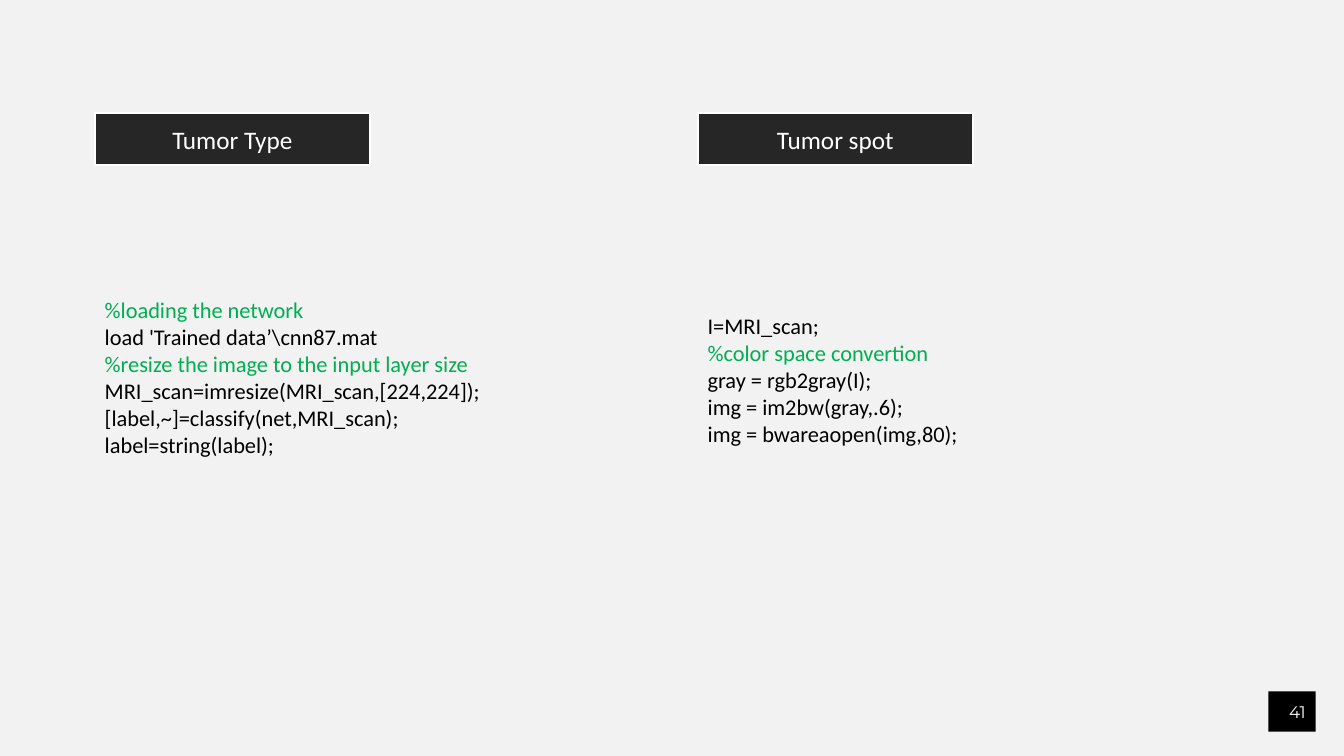
from pptx import Presentation
from pptx import util as u
from pptx.dml.color import RGBColor
from pptx.enum import shapes, text

WIDTH, HEIGHT = 13.33, 7.5
COLORS = {
    "background": "F2F2F2",
    "heading": "262626",
    "code": "000000",
    "comment": "00B050",
    "page": "000000",
    "light": "FFFFFF",
}
COLUMNS = (0.94, 6.92)
HEADING_TOP = 1.12
SECTIONS = (
    ("Tumor Type", 2.89, (
        "%loading the network",
        "load 'Trained data’\\cnn87.mat",
        "%resize the image to the input layer size",
        "MRI_scan=imresize(MRI_scan,[224,224]);",
        "[label,~]=classify(net,MRI_scan);",
        "label=string(label);",
    )),
    ("Tumor spot", 3.05, (
        "I=MRI_scan;",
        "%color space convertion",
        "gray = rgb2gray(I);",
        "img = im2bw(gray,.6);",
        "img = bwareaopen(img,80);",
    )),
)


def color(name):
    return RGBColor.from_string(COLORS[name])


def inches(*lengths):
    return [u.Inches(length) for length in lengths]


def write(paragraph, words, size=16, font="Calibri", ink="code",
          align=text.PP_ALIGN.LEFT):
    paragraph.alignment = align
    run = paragraph.add_run()
    run.text = words
    run.font.size = u.Pt(size)
    run.font.name = font
    run.font.color.rgb = color(ink)


def add_label(slide, box, words, fill, outline=None, **text_format):
    shape = slide.shapes.add_shape(shapes.MSO_SHAPE.RECTANGLE, *inches(*box))
    shape.shadow.inherit = False
    shape.fill.solid()
    shape.fill.fore_color.rgb = color(fill)
    if outline:
        shape.line.color.rgb = color(outline)
        shape.line.width = u.Pt(1.5)
    else:
        shape.line.fill.background()
    frame = shape.text_frame
    frame.vertical_anchor = text.MSO_ANCHOR.MIDDLE
    write(frame.paragraphs[0], words, ink="light", **text_format)


def add_code(slide, left, top, lines):
    """Add a code listing whose lines starting with % are comments."""
    line_height = 0.27
    box = inches(left, top, 5.08, 0.1 + line_height * len(lines))
    frame = slide.shapes.add_textbox(*box).text_frame
    frame.word_wrap = True
    for index, line in enumerate(lines):
        paragraph = frame.add_paragraph() if index else frame.paragraphs[0]
        write(paragraph, line, ink="comment" if line.startswith("%") else "code")


def main():
    presentation = Presentation()
    presentation.slide_width, presentation.slide_height = inches(WIDTH, HEIGHT)
    slide = presentation.slides.add_slide(presentation.slide_layouts[6])
    slide.background.fill.solid()
    slide.background.fill.fore_color.rgb = color("background")

    add_label(slide, (12.58, 6.86, 0.47, 0.4), "41", "page",
              size=12, font="Montserrat", align=text.PP_ALIGN.RIGHT)
    for left, (heading, code_top, lines) in zip(COLUMNS, SECTIONS):
        add_code(slide, left, code_top, lines)
        add_label(slide, (left, HEADING_TOP, 2.73, 0.52), heading, "heading",
                  outline="light", size=18, align=text.PP_ALIGN.CENTER)

    presentation.save("out.pptx")


if __name__ == "__main__":
    main()
